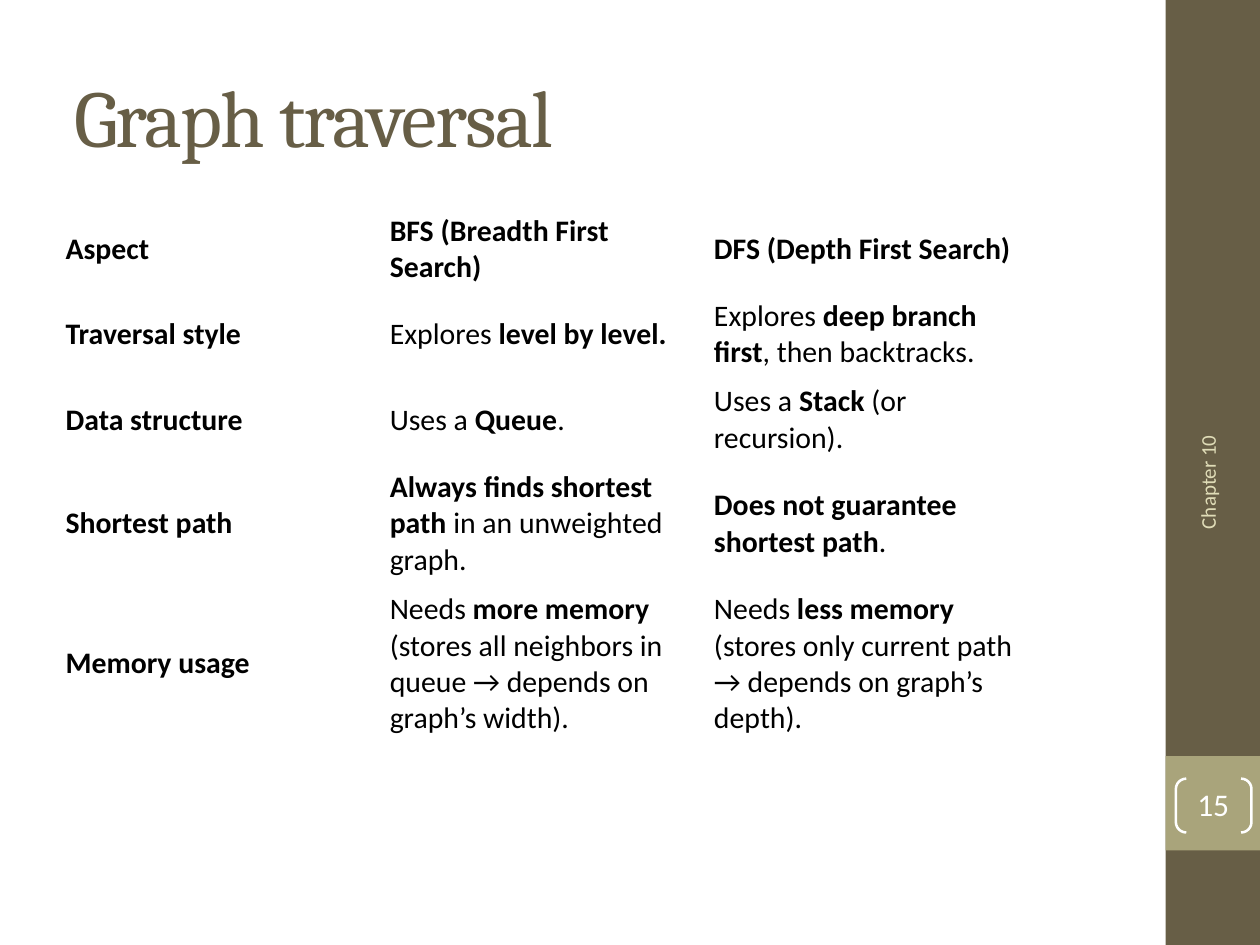
from dataclasses import dataclass

from pptx import Presentation
from pptx.dml.color import RGBColor
from pptx.enum.shapes import MSO_SHAPE as Preset
from pptx.enum.text import MSO_ANCHOR as Anchor, PP_ALIGN as Align
from pptx.util import Emu, Inches, Pt

COLORS = {
    "olive": "675E46",
    "sage": "A9A47B",
    "sand": "DFDCB7",
    "white": "FFFFFF",
    "black": "000000",
}
COLUMNS, ROWS = 40, 30
TITLE_ONLY = 5

COMPARISON = [
    ["**Aspect**", "**BFS (Breadth First Search)**", "**DFS (Depth First Search)**"],
    ["**Traversal style**", "Explores **level by level.**",
     "Explores **deep branch first**, then backtracks."],
    ["**Data structure**", "Uses a **Queue**.", "Uses a **Stack** (or recursion)."],
    ["**Shortest path**", "**Always finds shortest path** in an unweighted graph.",
     "**Does not guarantee shortest path**."],
    ["**Memory usage**",
     "Needs **more memory** (stores all neighbors in queue → depends on graph’s width).",
     "Needs **less memory** (stores only current path → depends on graph’s depth)."],
]
ROW_SHARES = [0.16, 0.16, 0.16, 0.23, 0.29]


@dataclass
class Box:
    left: float
    top: float
    width: float
    height: float

    def inner(self, left, top, width, height):
        return Box(self.left + left * self.width, self.top + top * self.height,
                   width * self.width, height * self.height)

    def on_grid(self, column, row, width, height):
        return self.inner(column / COLUMNS, row / ROWS, width / COLUMNS, height / ROWS)

    def lengths(self):
        return [Emu(round(v)) for v in (self.left, self.top, self.width, self.height)]


def color(name):
    return RGBColor.from_string(COLORS[name])


def style_font(paragraph, name, size, color_name, spacing=None):
    font = paragraph.font
    font.name, font.size = name, Pt(size)
    font.color.rgb = color(color_name)
    if spacing is not None:
        for run in paragraph.runs:
            run._r.get_or_add_rPr().set("spc", str(round(spacing * 100)))


def clear_margins(frame):
    frame.margin_left = frame.margin_right = 0
    frame.margin_top = frame.margin_bottom = 0
    frame.vertical_anchor = Anchor.TOP


def add_panel(slide, box, color_name):
    panel = slide.shapes.add_shape(Preset.RECTANGLE, *box.lengths())
    panel.shadow.inherit = False
    panel.fill.solid()
    panel.fill.fore_color.rgb = color(color_name)
    panel.line.fill.background()


def add_label(slide, box, text, size, color_name, spacing):
    frame = slide.shapes.add_textbox(*box.lengths()).text_frame
    clear_margins(frame)
    frame.word_wrap = True
    paragraph = frame.paragraphs[0]
    paragraph.text = text
    style_font(paragraph, "Calibri", size, color_name, spacing)
    return frame


def add_title(slide, box, text):
    title = slide.shapes.title
    title.left, title.top, title.width, title.height = box.lengths()
    frame = title.text_frame
    clear_margins(frame)
    frame.margin_top = Inches(0.02)
    frame.word_wrap = False
    paragraph = frame.paragraphs[0]
    paragraph.text = text
    paragraph.alignment = Align.LEFT
    paragraph.space_before = Pt(1.1)
    style_font(paragraph, "Cambria", 46, "olive", -1)


def add_badge(slide, box, number):
    add_panel(slide, box, "sage")
    for preset, left in ((Preset.LEFT_BRACKET, 0.11), (Preset.RIGHT_BRACKET, 0.8)):
        bracket = slide.shapes.add_shape(preset, *box.inner(left, 0.24, 0.11, 0.57).lengths())
        bracket.shadow.inherit = False
        bracket.adjustments[0] = 1
        bracket.fill.background()
        bracket.line.color.rgb = color("white")
        bracket.line.width = Pt(1.44)
    frame = add_label(slide, box.inner(0.32, 0.29, 0.37, 0.44), number, 18, "white", -0.2)
    frame.margin_top = Inches(0.01)
    frame.paragraphs[0].alignment = Align.CENTER


def add_sidebar(slide, box, chapter, number):
    add_panel(slide, box, "olive")
    frame = add_label(slide, box.inner(0.35, 0.46, 0.25, 0.1), chapter, 12, "sand", 0)
    frame._txBody.bodyPr.set("vert", "vert270")
    frame.paragraphs[0].line_spacing = Pt(12.4)
    add_badge(slide, box.inner(0, 0.8, 1, 0.1), number)


def fill_cell(cell, text):
    cell.fill.background()
    cell.vertical_anchor = Anchor.MIDDLE
    paragraph = cell.text_frame.paragraphs[0]
    for index, piece in enumerate(text.split("**")):
        if piece:
            run = paragraph.add_run()
            run.text = piece
            run.font.bold = index % 2 == 1
    style_font(paragraph, "Calibri", 17, "black")


def add_comparison(slide, box, rows):
    table = slide.shapes.add_table(len(rows), len(rows[0]), *box.lengths()).table
    table.first_row = table.horz_banding = False
    for row, share, texts in zip(table.rows, ROW_SHARES, rows):
        row.height = Emu(round(box.height * share))
        for cell, text in zip(row.cells, texts):
            fill_cell(cell, text)


def main():
    presentation = Presentation()
    presentation.slide_width, presentation.slide_height = Inches(10), Inches(7.5)
    slide = presentation.slides.add_slide(presentation.slide_layouts[TITLE_ONLY])
    page = Box(0, 0, presentation.slide_width, presentation.slide_height)
    add_sidebar(slide, page.on_grid(37, 0, 3, 30), "Chapter 10", "15")
    add_title(slide, page.on_grid(2.36, 2.04, 16.28, 3.2), "Graph traversal")
    add_comparison(slide, page.on_grid(1.68, 6.56, 30.88, 16.92), COMPARISON)
    presentation.save("out.pptx")


if __name__ == "__main__":
    main()
